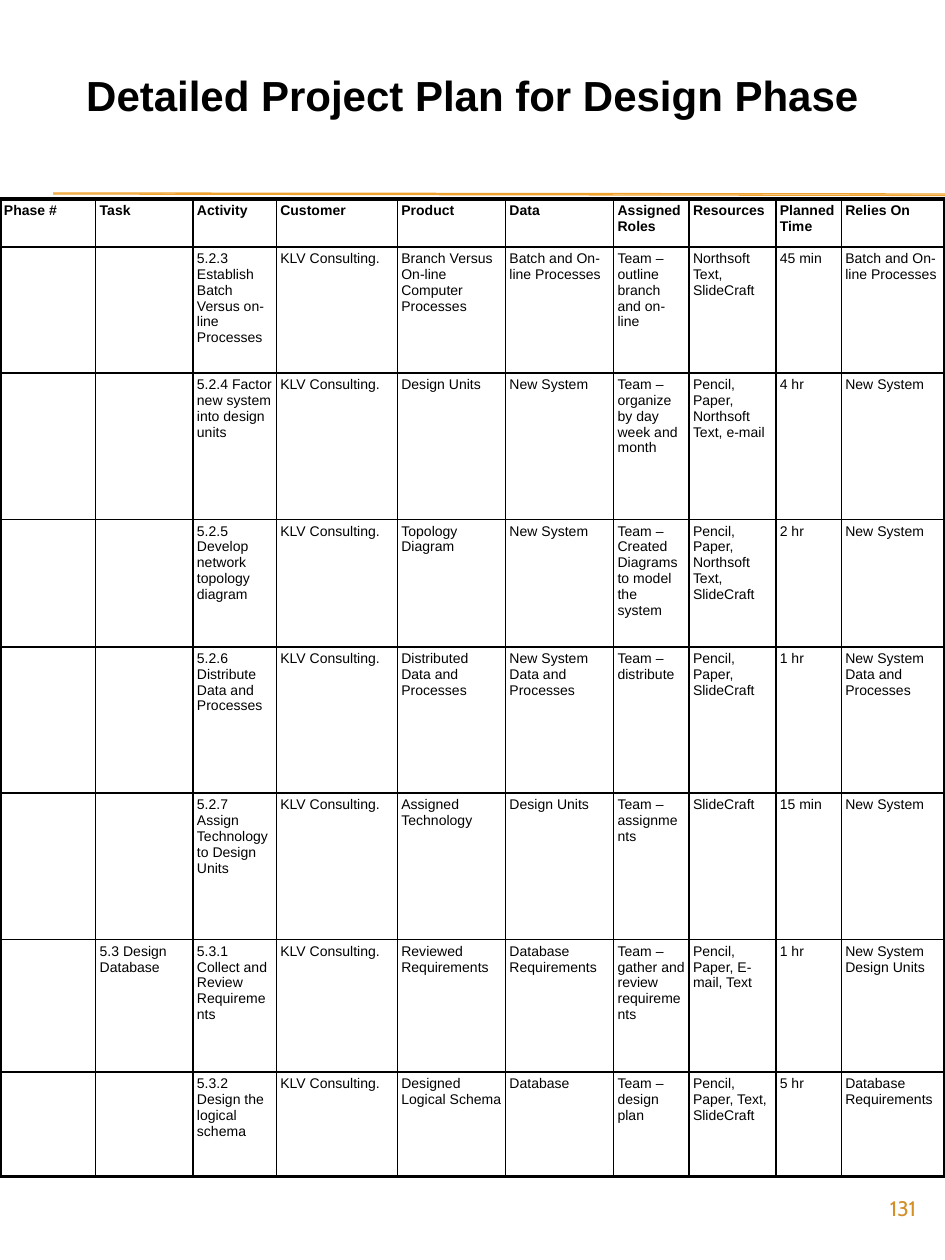
from lxml import etree
from pptx import Presentation
from pptx.dml.color import RGBColor
from pptx.enum.shapes import MSO_CONNECTOR
from pptx.enum.text import PP_ALIGN
from pptx.oxml.ns import qn
from pptx.util import Cm, Pt

LEFT, CENTER, RIGHT = PP_ALIGN.LEFT, PP_ALIGN.CENTER, PP_ALIGN.RIGHT
STRAIGHT = MSO_CONNECTOR.STRAIGHT
COLORS = {"ink": "000000", "rule": "F0A22E", "number": "D48F29"}

TITLE = "Detailed Project Plan for Design Phase"
PAGE_NUMBER = "131"
CUSTOMER = "KLV Consulting."
HEADINGS = ["Phase #", "Task", "Activity", "Customer", "Product", "Data",
            "Assigned Roles", "Resources", "Planned Time", "Relies On"]
# Task, activity, product, data, assigned roles, resources, planned time, relies on
ACTIVITIES = [
    ("", "5.2.3 Establish Batch Versus on-line Processes",
     "Branch Versus On-line Computer Processes", "Batch and On-line Processes",
     "Team – outline branch and on-line", "Northsoft Text, SlideCraft",
     "45 min", "Batch and On-line Processes"),
    ("", "5.2.4 Factor new system into design units", "Design Units", "New System",
     "Team – organize by day week and month", "Pencil, Paper, Northsoft Text, e-mail",
     "4 hr", "New System"),
    ("", "5.2.5 Develop network topology diagram", "Topology Diagram", "New System",
     "Team – Created Diagrams to model the system",
     "Pencil, Paper, Northsoft Text, SlideCraft", "2 hr", "New System"),
    ("", "5.2.6 Distribute Data and Processes", "Distributed Data and Processes",
     "New System Data and Processes", "Team – distribute",
     "Pencil, Paper, SlideCraft", "1 hr", "New System Data and Processes"),
    ("", "5.2.7 Assign Technology to Design Units", "Assigned Technology",
     "Design Units", "Team – assignments", "SlideCraft", "15 min", "New System"),
    ("5.3 Design Database", "5.3.1 Collect and Review Requirements",
     "Reviewed Requirements", "Database Requirements",
     "Team – gather and review requirements", "Pencil, Paper, E-mail, Text",
     "1 hr", "New System Design Units"),
    ("", "5.3.2 Design the logical schema", "Designed Logical Schema", "Database",
     "Team – design plan", "Pencil, Paper, Text, SlideCraft",
     "5 hr", "Database Requirements"),
]
COLUMN_WIDTHS = [1.93, 1.96, 1.68, 2.44, 2.18, 2.18, 1.52, 1.75, 1.32, 2.09]
ROW_HEIGHTS = [0.97, 2.54, 2.95, 2.57, 2.95, 2.95, 2.67, 2.11]
RULE_HEIGHTS = [(3.89, 3.91), (3.91, 3.94)]
PAGE_WIDTH, PAGE_HEIGHT = 19.05, 25.4
TABLE_TOP = 4.01
CELL_MARGIN = 0.08
INNER_BORDER, OUTER_BORDER = 1, 2.25


def write(frame, text, size, font="Arial", color="ink", bold=False, align=LEFT):
    frame.word_wrap = True
    para = frame.paragraphs[0]
    para.alignment = align
    span = para.add_run()
    span.text = text
    span.font.size = Pt(size)
    span.font.name = font
    span.font.bold = bold
    span.font.color.rgb = RGBColor.from_string(COLORS[color])


def add_text(page, area, text, **text_format):
    box = page.shapes.add_textbox(*map(Cm, area))
    write(box.text_frame, text, **text_format)


def add_rule(page, start_y, end_y):
    rule = page.shapes.add_connector(
        STRAIGHT, Cm(1.07), Cm(start_y), Cm(PAGE_WIDTH), Cm(end_y))
    rule.line.color.rgb = RGBColor.from_string(COLORS["rule"])
    rule.line.width = Pt(0.75)
    etree.SubElement(rule.element.spPr, qn("a:effectLst"))


def set_borders(cell, outer_sides):
    properties = cell._tc.get_or_add_tcPr()
    for side in "LRTB":
        width = OUTER_BORDER if side in outer_sides else INNER_BORDER
        border = etree.SubElement(properties, qn(f"a:ln{side}"), w=str(Pt(width)))
        fill = etree.SubElement(border, qn("a:solidFill"))
        etree.SubElement(fill, qn("a:srgbClr"), val=COLORS["ink"])


def add_plan_table(page):
    rows = [HEADINGS]
    for task, activity, *details in ACTIVITIES:
        rows.append(["", task, activity, CUSTOMER, *details])
    last_row, last_column = len(rows) - 1, len(HEADINGS) - 1
    table = page.shapes.add_table(
        len(rows), len(HEADINGS), 0, Cm(TABLE_TOP),
        Cm(PAGE_WIDTH), Cm(sum(ROW_HEIGHTS))).table
    for column, width in zip(table.columns, COLUMN_WIDTHS):
        column.width = Cm(width)
    for row, height in zip(table.rows, ROW_HEIGHTS):
        row.height = Cm(height)

    for r, texts in enumerate(rows):
        for c, text in enumerate(texts):
            cell = table.cell(r, c)
            edges = {"L": c == 0, "R": c == last_column, "T": r == 0, "B": r == last_row}
            set_borders(cell, [side for side, outer in edges.items() if outer])
            cell.fill.background()
            cell.margin_left = cell.margin_right = Cm(CELL_MARGIN)
            cell.margin_top = cell.margin_bottom = Cm(CELL_MARGIN)
            if text:
                write(cell.text_frame, text, size=8, bold=r == 0)


def main():
    deck = Presentation()
    deck.slide_width, deck.slide_height = Cm(PAGE_WIDTH), Cm(PAGE_HEIGHT)
    page = deck.slides.add_slide(deck.slide_layouts[6])
    for start_y, end_y in RULE_HEIGHTS:
        add_rule(page, start_y, end_y)
    add_text(page, (17.15, 23.98, 1.57, 0.91), PAGE_NUMBER,
             size=12, font="Cabin", color="number", align=RIGHT)
    add_plan_table(page)
    add_text(page, (0, 1.27, PAGE_WIDTH, 1.27), TITLE, size=24, bold=True, align=CENTER)
    deck.save("out.pptx")


if __name__ == "__main__":
    main()
